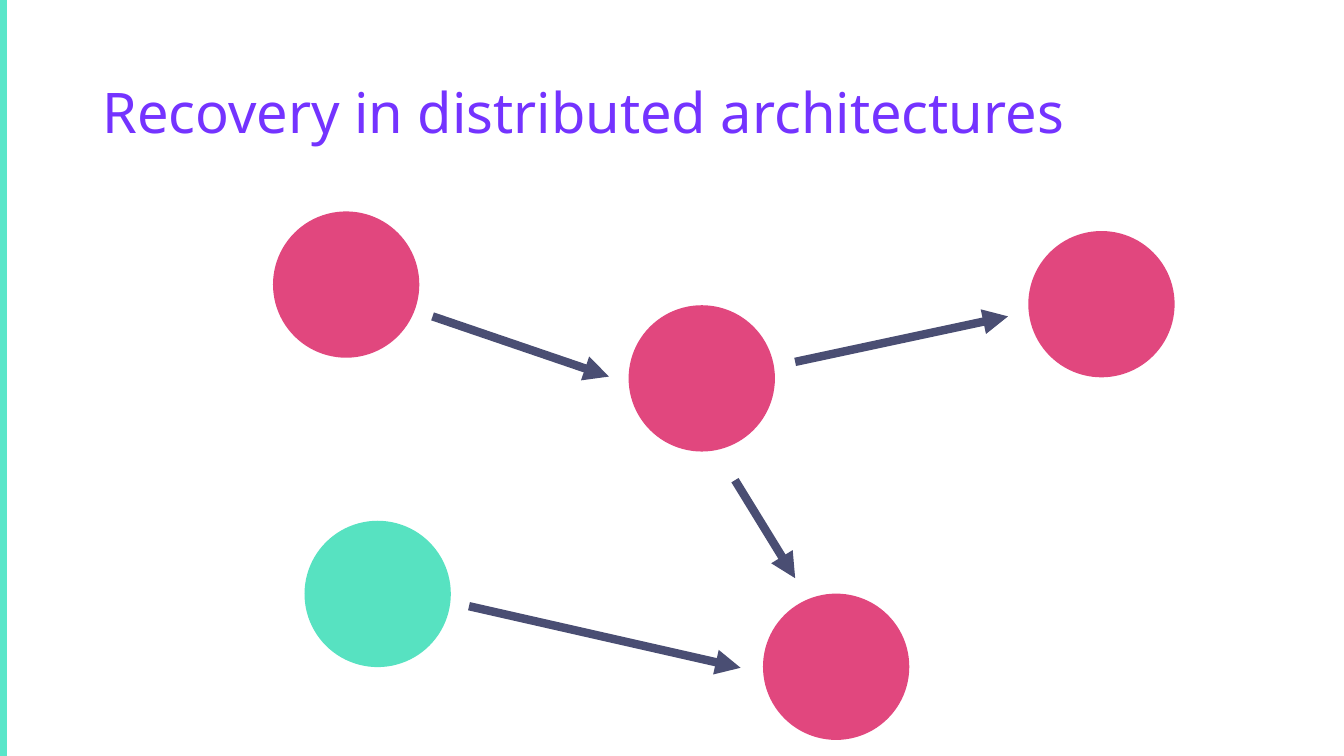
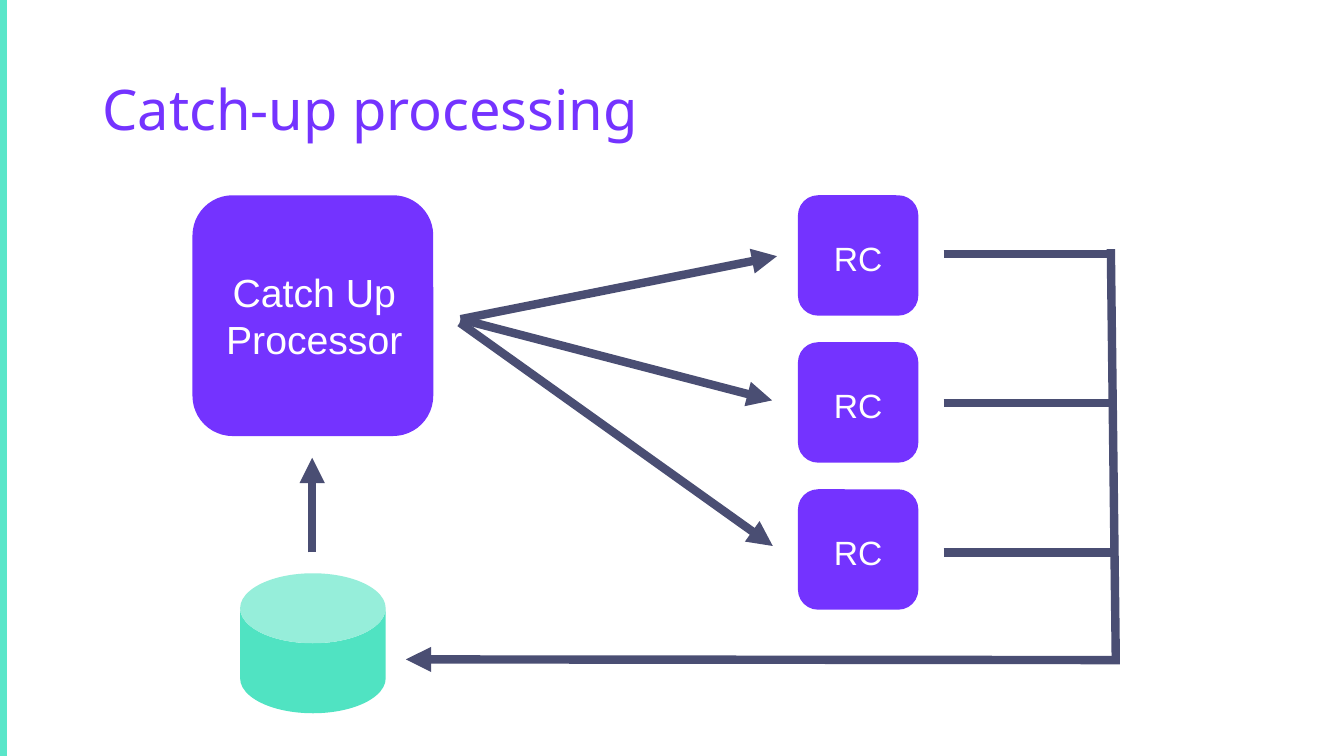
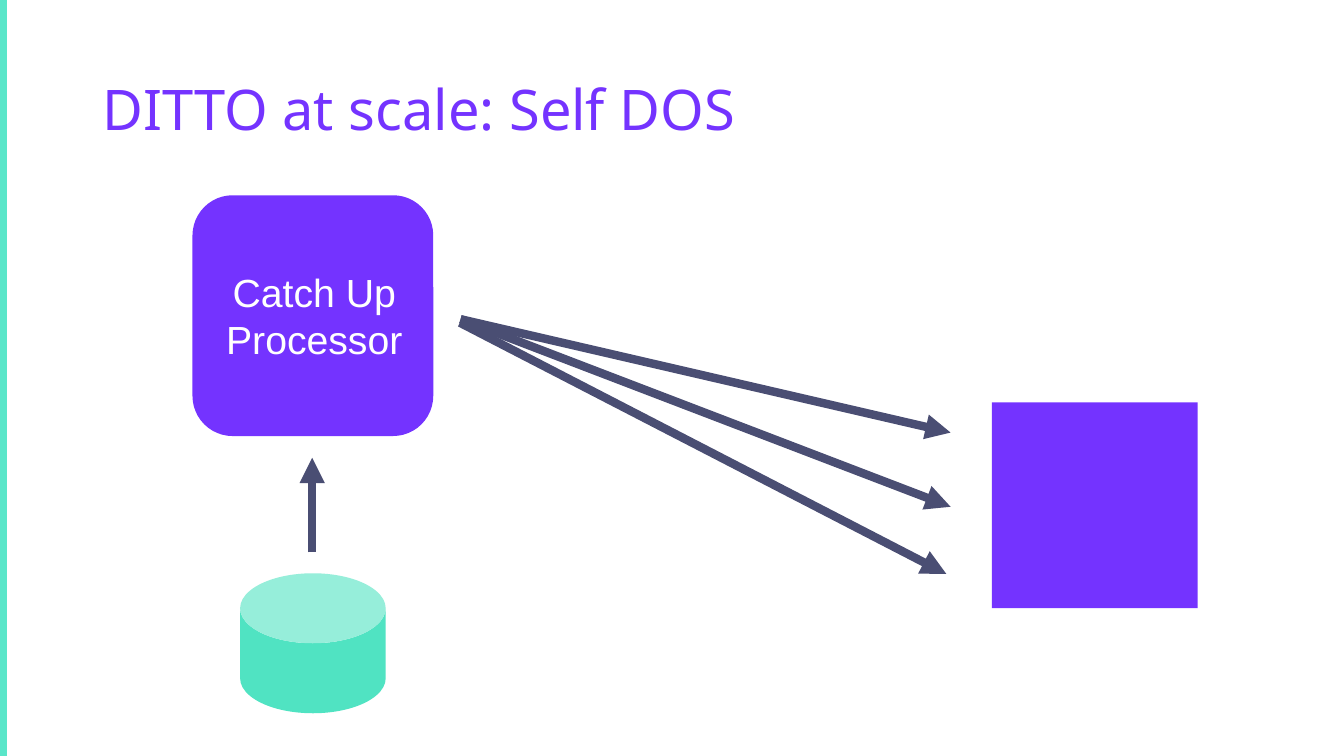
from lxml.etree import SubElement
from pptx import Presentation
from pptx.dml.color import RGBColor
from pptx.enum.shapes import MSO_CONNECTOR, MSO_SHAPE
from pptx.enum.text import MSO_ANCHOR, MSO_AUTO_SIZE, PP_ALIGN
from pptx.oxml.ns import qn
from pptx.util import Pt

PURPLE = RGBColor(0x74, 0x33, 0xFF)
PINK = RGBColor(0xE1, 0x47, 0x7E)
GREEN = RGBColor(0x57, 0xE2, 0xC1)
STORE_GREEN = RGBColor(0x50, 0xE3, 0xC2)
BAND_GREEN = RGBColor(0x5A, 0xE6, 0xC9)
SLATE = RGBColor(0x4A, 0x4E, 0x73)
WHITE = RGBColor(0xFF, 0xFF, 0xFF)

SLIDE_W, SLIDE_H = 960, 540

# Slide 1: nodes as (left, top, colour), messages as (start, end)
NODE_SIZE = 104.5
NODES = [
    (217.5, 372, GREEN),
    (195, 151, PINK),
    (449, 218, PINK),
    (545, 424, PINK),
    (734.5, 165, PINK),
]
MESSAGES = [
    ((309, 226), (435, 269)),
    ((568, 258.5), (720, 226)),
    ((525, 343), (568, 413)),
    ((335, 433), (529, 477)),
]

# Slides 2 and 3: the processor, its store and the requests it sends
PROCESSOR = (137.5, 139.5, 172, 172)
STORE = (171.5, 409.5, 104, 100)
STORE_ARROW = ((223, 394.5), (223, 327))
REQUEST_STARTS = [(329, 228), (329, 228), (328.5, 230.5)]

# Slide 2: receivers and the path back to the store
RECEIVERS = ["RC", "RC", "RC"]
RECEIVER_LEFT, RECEIVER_TOP, RECEIVER_SIZE, RECEIVER_PITCH = 570, 139.5, 86, 105
RECEIVER_TARGETS = [(555, 183), (551.5, 286), (552, 390)]
RETURN_LEFT, RETURN_RIGHT, RETURN_TOP, RETURN_PITCH = 674, 795, 181.5, 106.5
RETURN_SPINE = ((793.5, 178), (797, 470))
RETURN_ARROW = ((800, 471.5), (290, 471))

# Slide 3: the one overloaded target
TARGET = (708.5, 287.5, 147, 147)
OVERLOAD_TARGETS = [(679, 309), (679, 362), (676, 410)]


def add_block(slide, preset, bounds, colour):
    block = slide.shapes.add_shape(preset, *map(Pt, bounds))
    block.shadow.inherit = False
    block.fill.solid()
    block.fill.fore_color.rgb = colour
    block.line.fill.background()
    return block


def add_label_block(slide, bounds, label, size, shift):
    """Rounded block with a label moved right and down by shift."""
    block = add_block(slide, MSO_SHAPE.ROUNDED_RECTANGLE, bounds, PURPLE)
    block.adjustments[0] = 0.167
    frame = block.text_frame
    frame.word_wrap = True
    frame.vertical_anchor = MSO_ANCHOR.MIDDLE
    right, down = shift
    frame.margin_left, frame.margin_right = Pt(7 + 2 * right), Pt(7)
    frame.margin_top, frame.margin_bottom = Pt(7 + 2 * down), Pt(7)
    paragraph = frame.paragraphs[0]
    paragraph.text = label
    paragraph.alignment = PP_ALIGN.CENTER
    paragraph.font.name = "Arial"
    paragraph.font.size = Pt(size)
    paragraph.font.color.rgb = WHITE


def add_link(slide, start, end, arrow=True):
    link = slide.shapes.add_connector(
        MSO_CONNECTOR.STRAIGHT, *map(Pt, (*start, *end)))
    link.line.color.rgb = SLATE
    link.line.width = Pt(6)
    if arrow:
        SubElement(link.line._get_or_add_ln(), qn("a:tailEnd"), type="triangle")
    SubElement(link.element.spPr, qn("a:effectLst"))


def add_titled_slide(deck, title, top=28):
    slide = deck.slides.add_slide(deck.slide_layouts[5])
    holder = slide.shapes.title
    holder.left, holder.top = Pt(66), Pt(top)
    holder.width, holder.height = Pt(828), Pt(104.4)
    frame = holder.text_frame
    frame.word_wrap = True
    frame.auto_size = MSO_AUTO_SIZE.NONE
    frame.vertical_anchor = MSO_ANCHOR.MIDDLE
    paragraph = frame.paragraphs[0]
    paragraph.text = title
    paragraph.alignment = PP_ALIGN.LEFT
    paragraph.line_spacing = 0.9
    paragraph.font.name = "Noto Sans"
    paragraph.font.size = Pt(40)
    paragraph.font.color.rgb = PURPLE
    add_block(slide, MSO_SHAPE.RECTANGLE, (0, 0, 5, SLIDE_H), BAND_GREEN)
    return slide


def add_processor(slide, targets):
    """Store feeding the processor, which sends a request to each target."""
    store = add_block(slide, MSO_SHAPE.CAN, STORE, STORE_GREEN)
    store.adjustments[0] = 0.5
    add_label_block(slide, PROCESSOR, "Catch Up Processor", 28, (1, 0))
    add_link(slide, *STORE_ARROW)
    for start, target in zip(REQUEST_STARTS, targets):
        add_link(slide, start, target)


def build_recovery(deck):
    slide = add_titled_slide(deck, "Recovery in distributed architectures", top=30)
    for start, end in MESSAGES:
        add_link(slide, start, end)
    for left, top, colour in NODES:
        add_block(slide, MSO_SHAPE.OVAL, (left, top, NODE_SIZE, NODE_SIZE), colour)


def build_catch_up(deck):
    slide = add_titled_slide(deck, "Catch-up processing")
    add_processor(slide, RECEIVER_TARGETS)
    for row, label in enumerate(RECEIVERS):
        top = RECEIVER_TOP + row * RECEIVER_PITCH
        bounds = (RECEIVER_LEFT, top, RECEIVER_SIZE, RECEIVER_SIZE)
        add_label_block(slide, bounds, label, 24, (0, 2))
        level = RETURN_TOP + row * RETURN_PITCH
        add_link(slide, (RETURN_LEFT, level), (RETURN_RIGHT, level), arrow=False)
    add_link(slide, *RETURN_SPINE, arrow=False)
    add_link(slide, *RETURN_ARROW)


def build_self_dos(deck):
    slide = add_titled_slide(deck, "DITTO at scale: Self DOS")
    add_processor(slide, OVERLOAD_TARGETS)
    add_block(slide, MSO_SHAPE.RECTANGLE, TARGET, PURPLE)


def main():
    deck = Presentation()
    deck.slide_width, deck.slide_height = Pt(SLIDE_W), Pt(SLIDE_H)
    build_recovery(deck)
    build_catch_up(deck)
    build_self_dos(deck)
    deck.save("out.pptx")


if __name__ == "__main__":
    main()
